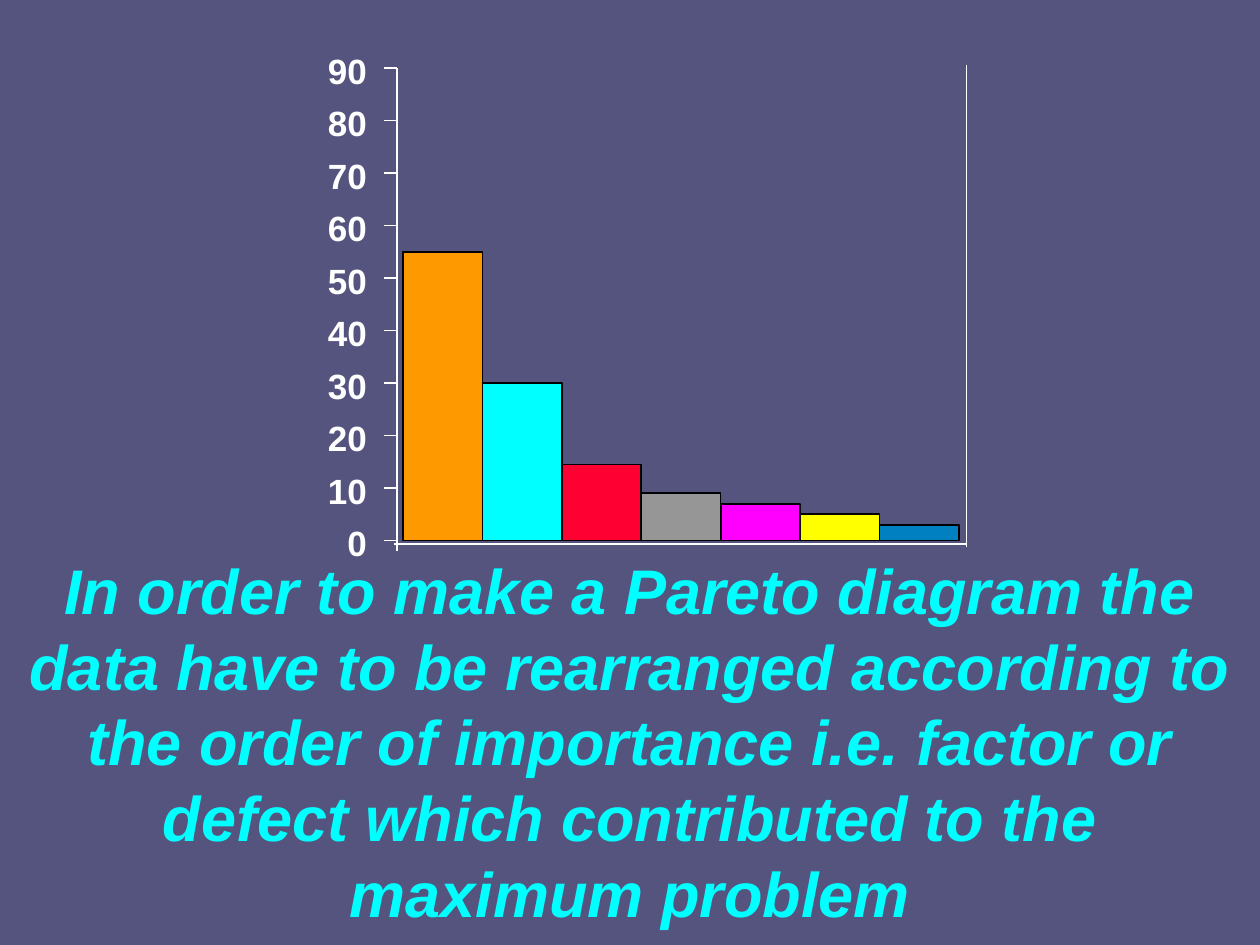
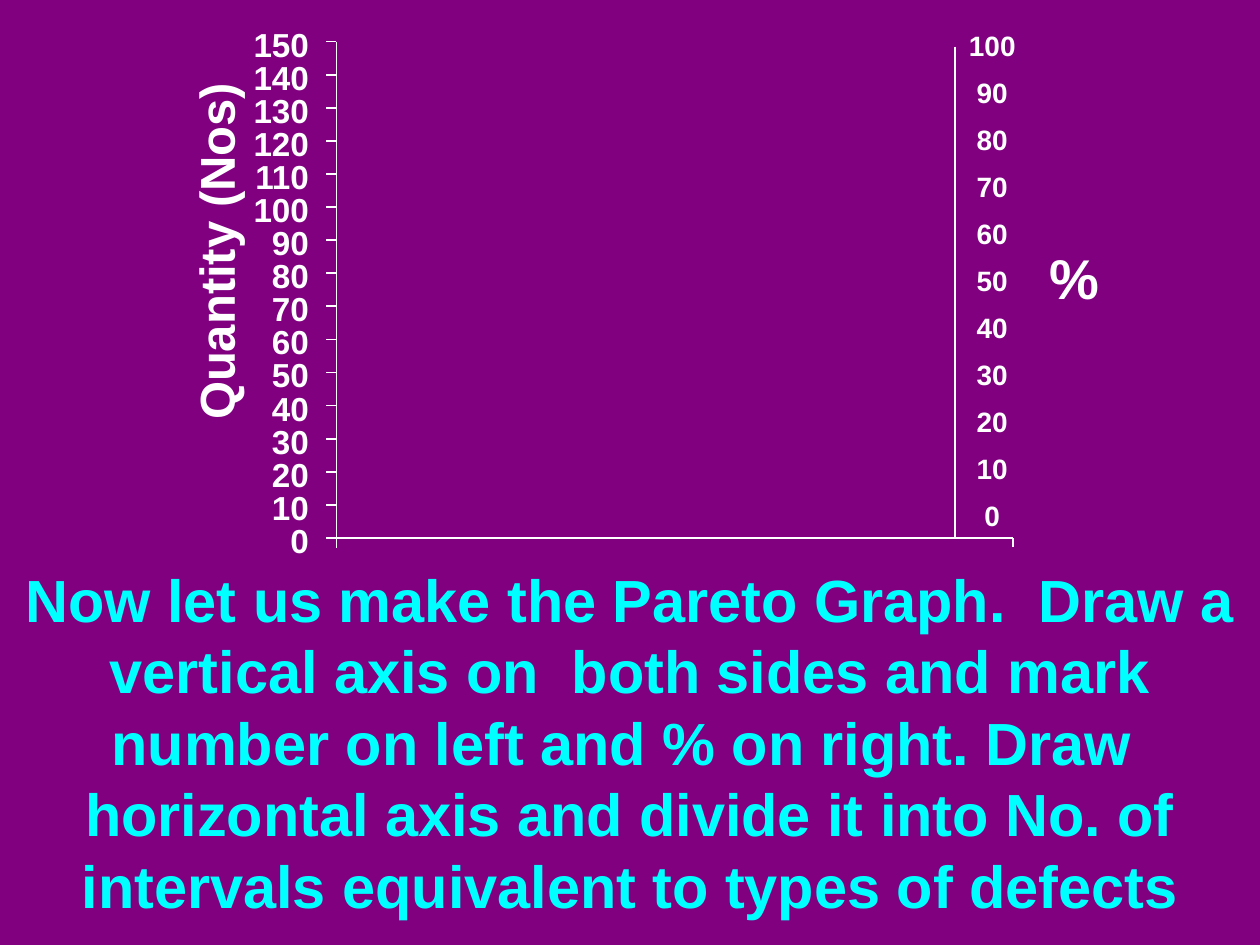
from pptx import Presentation
from pptx.dml.color import RGBColor
from pptx.enum import shapes, text
from pptx.oxml.ns import qn
from pptx.util import Inches, Pt

FONT = "Arial"
COLORS = {
    "slate": "54547E",
    "purple": "800080",
    "caption": "00FFFF",
    "white": "FFFFFF",
    "black": "000000",
    "orange": "FF9900",
    "cyan": "00FFFF",
    "red": "FF0033",
    "grey": "969696",
    "magenta": "FF00FF",
    "yellow": "FFFF00",
    "blue": "0080C0",
}
DEFECT_BARS = [
    ("orange", 55),
    ("cyan", 30),
    ("red", 14.5),
    ("grey", 9),
    ("magenta", 7),
    ("yellow", 5),
    ("blue", 3),
]
REARRANGE = (
    "In order to make a Pareto diagram the data have to be rearranged according to "
    "the order of importance i.e. factor or defect which contributed to the maximum problem"
)
DRAW_AXES = (
    "Now let us make the Pareto Graph.  Draw a vertical axis on  both sides and mark "
    "number on left and % on right. Draw  horizontal axis and divide it into No. of "
    "intervals equivalent to types of defects"
)


def rgb(name):
    return RGBColor.from_string(COLORS[name])


def add_slide(prs, background):
    slide = prs.slides.add_slide(prs.slide_layouts[6])
    fill = slide.background.fill
    fill.solid()
    fill.fore_color.rgb = rgb(background)
    return slide


def add_text(slide, lines, left, top, width, height, size, color="white", align="CENTER",
             italic=False, wrap=True, spacing=None, rotation=0):
    """Add a bold text box with one paragraph for each of the lines."""
    sp = slide.shapes.add_textbox(Inches(left), Inches(top), Inches(width), Inches(height))
    sp.rotation = rotation
    tf = sp.text_frame
    tf.word_wrap = wrap
    tf.text = "\n".join(lines)
    for p in tf.paragraphs:
        p.alignment = text.PP_ALIGN[align]
        if spacing:
            p.line_spacing = spacing
        for r in p.runs:
            r.font.name = FONT
            r.font.size = Pt(size)
            r.font.bold = True
            r.font.italic = italic
            r.font.color.rgb = rgb(color)


def add_caption(slide, words, top, size, italic=False):
    add_text(slide, [words], 0, top, 10, 7.4 - top, size, color="caption", italic=italic)


def add_line(slide, x1, y1, x2, y2):
    line = slide.shapes.add_connector(
        shapes.MSO_CONNECTOR.STRAIGHT, Inches(x1), Inches(y1), Inches(x2), Inches(y2))
    line.line.color.rgb = rgb("white")
    line.line.width = Pt(1)
    sp_pr = line._element.spPr
    sp_pr.append(sp_pr.makeelement(qn("a:effectLst"), {}))


def add_left_scale(slide, x, top, bottom, maximum, tick, size):
    """Draw a vertical axis from 0 to maximum, with a labelled tick at every ten."""
    label_width = 0.8
    label_left = x - tick - 0.04 - label_width
    add_line(slide, x, top, x, bottom + 0.08)
    for value in range(0, maximum + 1, 10):
        y = bottom - value * (bottom - top) / maximum
        add_line(slide, x - tick, y, x, y)
        add_text(slide, [str(value)], label_left, y - size / 100, label_width, 0.43,
                 size, align="RIGHT")


def add_bars(slide, left, bottom, width, unit):
    """Draw touching bars; unit is the height in inches of one defect."""
    for i, (color, value) in enumerate(DEFECT_BARS):
        height = value * unit
        bar = slide.shapes.add_shape(
            shapes.MSO_SHAPE.RECTANGLE, Inches(left + i * width), Inches(bottom - height),
            Inches(width), Inches(height))
        bar.shadow.inherit = False
        bar.fill.solid()
        bar.fill.fore_color.rgb = rgb(color)
        bar.line.color.rgb = rgb("black")
        bar.line.width = Pt(1)


def build_rearranged_bars(prs):
    slide = add_slide(prs, "slate")
    top, bottom, maximum = 0.54, 4.29, 90
    add_caption(slide, REARRANGE, 4.33, 36, italic=True)
    add_bars(slide, 3.2, bottom, 0.63, (bottom - top) / maximum)
    add_left_scale(slide, 3.15, top, bottom, maximum, 0.1, 20)
    add_line(slide, 7.67, 4.34, 7.67, 0.52)
    add_line(slide, 3.13, 4.32, 7.67, 4.32)


def build_empty_axes(prs):
    slide = add_slide(prs, "purple")
    left, right, bottom = 2.67, 8.04, 4.27
    add_caption(slide, DRAW_AXES, 4.42, 34)
    add_left_scale(slide, left, 0.33, bottom, 150, 0.08, 19)
    add_line(slide, left, bottom, right, bottom)
    add_line(slide, right, bottom, right, 4.34)
    percents = [str(value) for value in range(100, -1, -10)]
    add_text(slide, percents, 7.59, 0.07, 0.57, 4.2, 16, wrap=False, spacing=1.4)
    add_text(slide, ["%"], 8.23, 1.88, 0.6, 0.63, 32, wrap=False)
    add_text(slide, ["Quantity (Nos)"], 0.27, 1.71, 2.88, 0.57, 28, wrap=False, rotation=270)
    add_line(slide, 7.58, 0.37, 7.58, 4.28)


def main():
    prs = Presentation()
    prs.slide_width = Inches(10)
    prs.slide_height = Inches(7.5)
    build_rearranged_bars(prs)
    build_empty_axes(prs)
    prs.save("out.pptx")


if __name__ == "__main__":
    main()
